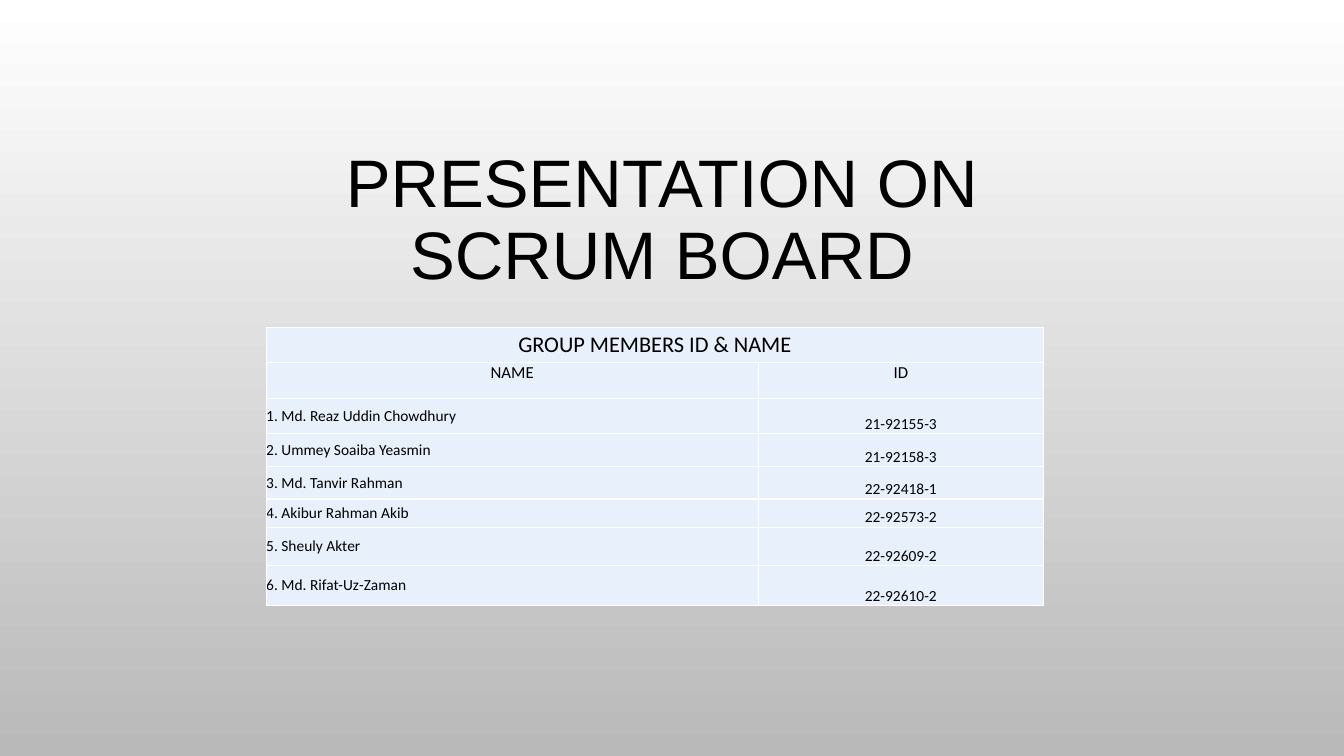
from lxml import etree
from pptx import Presentation
from pptx.dml.color import RGBColor
from pptx.enum import text
from pptx.oxml import ns
from pptx.util import Inches, Pt

BLACK, WHITE, GREY, PALE_BLUE = "000000", "FFFFFF", "B9B9B9", "E8F0FC"
CENTER, LEFT = text.PP_ALIGN.CENTER, text.PP_ALIGN.LEFT
TOP, MIDDLE, BOTTOM = (text.MSO_ANCHOR.TOP, text.MSO_ANCHOR.MIDDLE,
                       text.MSO_ANCHOR.BOTTOM)

MEMBERS = [
    ("Md. Reaz Uddin Chowdhury", "21-92155-3"),
    ("Ummey Soaiba Yeasmin", "21-92158-3"),
    ("Md. Tanvir Rahman", "22-92418-1"),
    ("Akibur Rahman Akib", "22-92573-2"),
    ("Sheuly Akter", "22-92609-2"),
    ("Md. Rifat-Uz-Zaman", "22-92610-2"),
]
COLUMN_WIDTHS = [4.88, 2.83]
ROW_HEIGHTS = [0.35, 0.35, 0.35, 0.33, 0.32, 0.28, 0.38, 0.4]


def color(hex_string):
    return RGBColor.from_string(hex_string)


def add_run(paragraph, words, font, size):
    run = paragraph.add_run()
    run.text = words
    run.font.name = font
    run.font.size = Pt(size)
    run.font.color.rgb = color(BLACK)


def set_background(slide):
    fill = slide.background.fill
    fill.gradient()
    fill.gradient_angle = 270  # counter-clockwise: runs from top to bottom
    for stop, hex_string, position in zip(fill.gradient_stops, (WHITE, GREY), (0, 1)):
        stop.color.rgb = color(hex_string)
        stop.position = position


def set_title(slide, lines):
    title = slide.shapes.title
    title.left, title.top = Inches(1.91), Inches(1.42)
    title.width, title.height = Inches(9.5), Inches(1.55)
    frame = title.text_frame
    frame.word_wrap = True
    frame.auto_size = text.MSO_AUTO_SIZE.NONE
    frame.vertical_anchor = BOTTOM
    paragraph = frame.paragraphs[0]
    paragraph.alignment = CENTER
    paragraph.line_spacing = 0.9
    for index, line in enumerate(lines):
        if index:
            paragraph.add_line_break()
        add_run(paragraph, line, "Arial", 48)


def style_cell(cell):
    cell.margin_left = cell.margin_right = cell.margin_top = cell.margin_bottom = 0
    properties = cell._tc.get_or_add_tcPr()
    for side in ("lnL", "lnR", "lnT", "lnB"):
        line = etree.SubElement(properties, ns.qn(f"a:{side}"), w=str(Pt(1)))
        fill = etree.SubElement(line, ns.qn("a:solidFill"))
        etree.SubElement(fill, ns.qn("a:srgbClr"), val=WHITE)
    cell.fill.solid()
    cell.fill.fore_color.rgb = color(PALE_BLUE)


def write_cell(cell, words, size, alignment, anchor):
    cell.vertical_anchor = anchor
    paragraph = cell.text_frame.paragraphs[0]
    paragraph.alignment = alignment
    add_run(paragraph, words, "Calibri", size)


def add_member_table(slide):
    frame = slide.shapes.add_table(
        len(ROW_HEIGHTS), len(COLUMN_WIDTHS), Inches(2.64), Inches(3.25),
        Inches(sum(COLUMN_WIDTHS)), Inches(sum(ROW_HEIGHTS)))
    table = frame.table
    table.first_row = table.horz_banding = False
    for column, width in zip(table.columns, COLUMN_WIDTHS):
        column.width = Inches(width)
    for row, height in zip(table.rows, ROW_HEIGHTS):
        row.height = Inches(height)
    for cell in table.iter_cells():
        style_cell(cell)

    # Heading rows
    table.cell(0, 0).merge(table.cell(0, 1))
    write_cell(table.cell(0, 0), "GROUP MEMBERS ID & NAME", 16, CENTER, MIDDLE)
    for column, heading in enumerate(("NAME", "ID")):
        write_cell(table.cell(1, column), heading, 12, CENTER, TOP)

    # Member rows
    for number, (name, member_id) in enumerate(MEMBERS, 1):
        write_cell(table.cell(number + 1, 0), f"{number}. {name}", 11, LEFT, MIDDLE)
        write_cell(table.cell(number + 1, 1), member_id, 11, CENTER, BOTTOM)


def main():
    presentation = Presentation()
    presentation.slide_width = Inches(13.33)
    presentation.slide_height = Inches(7.5)
    slide = presentation.slides.add_slide(presentation.slide_layouts[0])

    # The subtitle placeholder gives way to the table
    subtitle = slide.placeholders[1].element
    subtitle.getparent().remove(subtitle)

    set_background(slide)
    set_title(slide, ["PRESENTATION ON ", "SCRUM BOARD "])
    add_member_table(slide)
    presentation.save("out.pptx")


if __name__ == "__main__":
    main()
